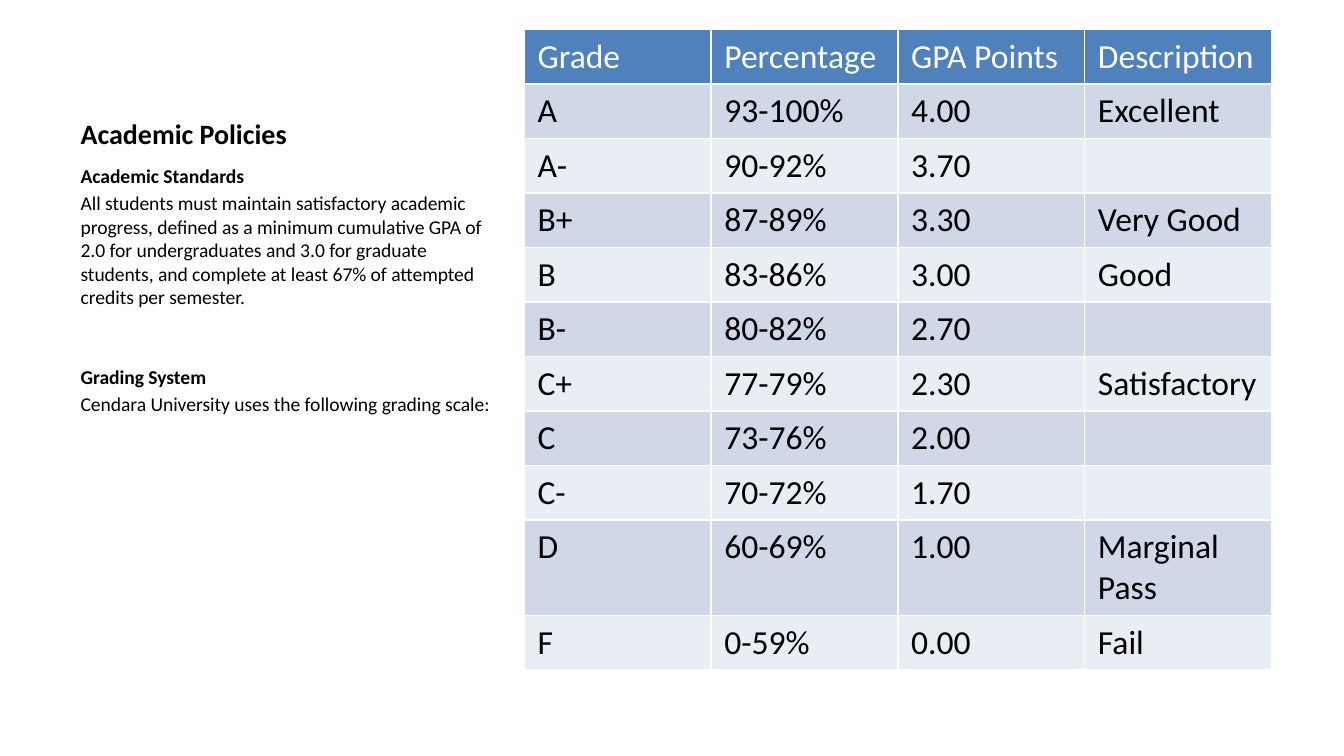
from pptx import Presentation
from pptx.dml.color import RGBColor
from pptx.enum import text
from pptx.util import Inches, Pt

COLORS = {"ink": "000000", "header_text": "FFFFFF", "header": "4F81BD",
          "odd_row": "D0D8E8", "even_row": "E9EDF4"}
FONT = "Calibri"

POLICIES = [
    ("Academic Standards",
     "All students must maintain satisfactory academic progress, defined as a "
     "minimum cumulative GPA of 2.0 for undergraduates and 3.0 for graduate "
     "students, and complete at least 67% of attempted credits per semester."),
    ("Grading System", "Cendara University uses the following grading scale:"),
]

GRADES = [
    ("Grade", "Percentage", "GPA Points", "Description"),
    ("A", "93-100%", "4.00", "Excellent"),
    ("A-", "90-92%", "3.70", ""),
    ("B+", "87-89%", "3.30", "Very Good"),
    ("B", "83-86%", "3.00", "Good"),
    ("B-", "80-82%", "2.70", ""),
    ("C+", "77-79%", "2.30", "Satisfactory"),
    ("C", "73-76%", "2.00", ""),
    ("C-", "70-72%", "1.70", ""),
    ("D", "60-69%", "1.00", "Marginal Pass"),
    ("F", "0-59%", "0.00", "Fail"),
]


def format_runs(paragraph, size, bold=False, color="ink"):
    for run in paragraph.runs:
        run.font.name = FONT
        run.font.size = Pt(size)
        run.font.bold = bold
        run.font.color.rgb = RGBColor.from_string(COLORS[color])


def place(placeholder, left, top, width, height):
    placeholder.left, placeholder.top = Inches(left), Inches(top)
    placeholder.width, placeholder.height = Inches(width), Inches(height)


def add_policies(title, body, left, top, width, height):
    title_height = 0.95
    place(title, left, top, width, title_height)
    title.text_frame.text = "Academic Policies"
    title.text_frame.vertical_anchor = text.MSO_ANCHOR.BOTTOM
    format_runs(title.text_frame.paragraphs[0], 15, bold=True)

    place(body, left, top + title_height, width, height - title_height)
    body.text_frame.text = "\n".join(line for policy in POLICIES for line in policy)
    for index, paragraph in enumerate(body.text_frame.paragraphs):
        is_heading = index % 2 == 0
        format_runs(paragraph, 10.5, bold=is_heading)
        if is_heading:
            paragraph.space_before = Pt(30)


def add_grading_scale(slide, left, top, width, row_height):
    scale = slide.shapes.add_table(
        len(GRADES), len(GRADES[0]), Inches(left), Inches(top),
        Inches(width), Inches(row_height * len(GRADES))).table
    for row, grade in enumerate(GRADES):
        fill = "header" if row == 0 else "odd_row" if row % 2 else "even_row"
        for column, entry in enumerate(grade):
            cell = scale.cell(row, column)
            cell.text_frame.text = entry
            cell.fill.solid()
            cell.fill.fore_color.rgb = RGBColor.from_string(COLORS[fill])
            format_runs(cell.text_frame.paragraphs[0], 18,
                        color="ink" if row else "header_text")


def main():
    prs = Presentation()
    prs.slide_width = Inches(10)
    prs.slide_height = prs.slide_width * 9 // 16
    slide = prs.slides.add_slide(prs.slide_layouts.get_by_name("Content with Caption"))
    title, content, body = slide.placeholders
    content.element.getparent().remove(content.element)
    add_policies(title, body, 0.5, 0.22, 3.29, 4.8)
    add_grading_scale(slide, 3.9, 0.22, 5.56, 0.4)
    prs.save("out.pptx")


if __name__ == "__main__":
    main()
